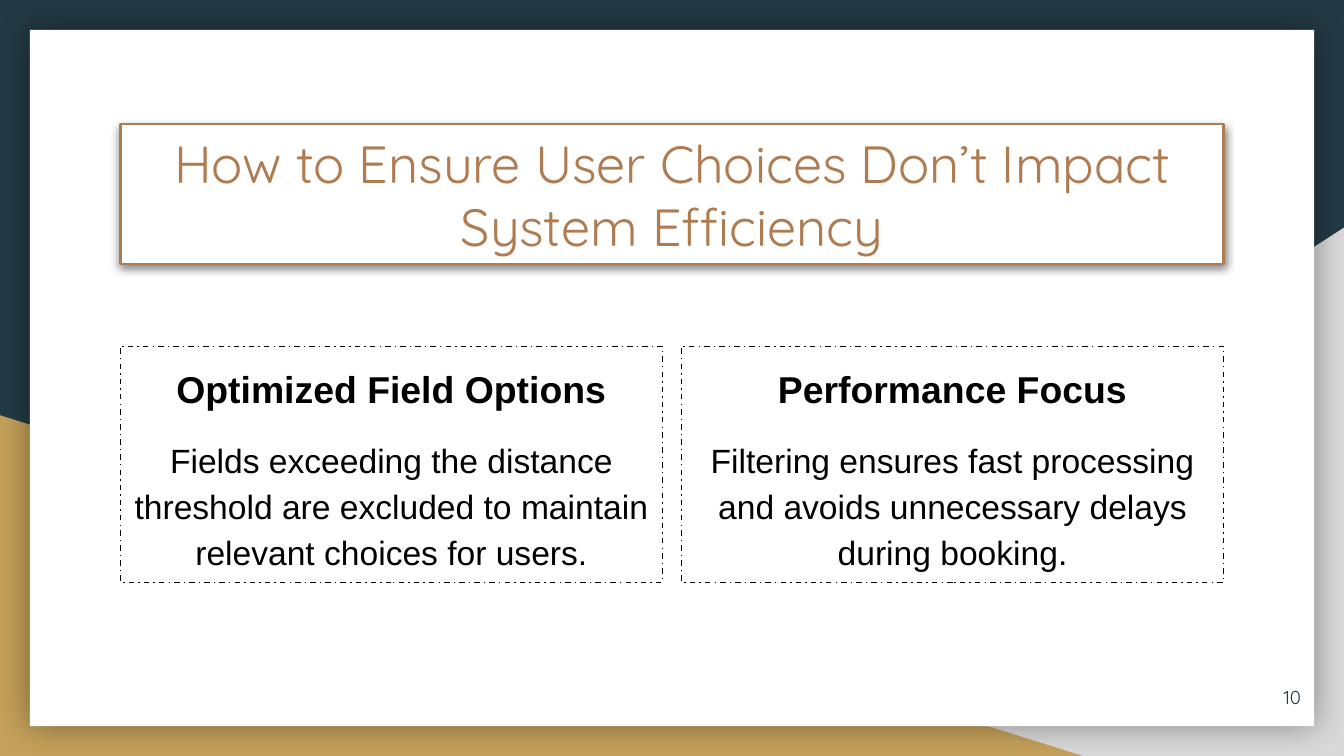
from lxml.etree import SubElement
from pptx import Presentation
from pptx.dml.color import RGBColor
from pptx.enum.dml import MSO_LINE
from pptx.enum.shapes import MSO_SHAPE
from pptx.enum.text import MSO_ANCHOR, PP_ALIGN
from pptx.oxml.ns import qn
from pptx.util import Pt

WIDTH, HEIGHT = 720, 405
NAVY, GOLD, BROWN, GREY = "233A44", "C4A15A", "AF7B51", "D9D9D9"
WHITE, BLACK = "FFFFFF", "000000"
HEADING_FONT, BODY_FONT = "Quicksand", "Arial"


def rgb(value):
    return RGBColor.from_string(value)


def write(tf, text, size, font=BODY_FONT, color=BLACK, bold=False,
          align=PP_ALIGN.CENTER, spacing=None, gap=0):
    """Add a formatted paragraph, using the first one while it is empty."""
    p = tf.paragraphs[0] if not tf.text else tf.add_paragraph()
    p.alignment = align
    p.line_spacing = spacing
    p.space_before = p.space_after = Pt(gap)
    r = p.add_run()
    r.text = text
    r.font.name, r.font.size, r.font.bold = font, Pt(size), bold
    r.font.color.rgb = rgb(color)


class Deck:
    """Holds the shared style and the current slide."""
    inset = 7.2

    def __init__(self):
        self.prs = Presentation()
        self.prs.slide_width, self.prs.slide_height = Pt(WIDTH), Pt(HEIGHT)

    def add_slide(self, background):
        self.s = self.prs.slides.add_slide(self.prs.slide_layouts[6])
        self.s.background.fill.solid()
        self.s.background.fill.fore_color.rgb = rgb(background)

    def shape(self, kind, box, fill=None, line=None, weight=0.75, dash=None):
        sp = self.s.shapes.add_shape(kind, *map(Pt, box))
        sp.shadow.inherit = False
        if fill:
            sp.fill.solid()
            sp.fill.fore_color.rgb = rgb(fill)
        else:
            sp.fill.background()
        if line:
            sp.line.color.rgb = rgb(line)
            sp.line.width = Pt(weight)
            sp.line.dash_style = dash
        else:
            sp.line.fill.background()
        return sp

    def corner(self, box, fill, flip=False):
        sp = self.shape(MSO_SHAPE.RIGHT_TRIANGLE, box, fill)
        if flip:
            sp.element.spPr.find(qn("a:xfrm")).set("flipH", "1")

    def shadow(self, sp, alpha, blur, distance=0, angle=0):
        """Cast a black outer shadow; alpha is in percent, angle in degrees."""
        effects = sp.element.spPr.find(qn("a:effectLst"))
        outer = SubElement(effects, qn("a:outerShdw"), blurRad=str(Pt(blur)),
                           dist=str(Pt(distance)), dir=str(angle * 60000),
                           algn="bl", rotWithShape="0")
        color = SubElement(outer, qn("a:srgbClr"), val=BLACK)
        SubElement(color, qn("a:alpha"), val=str(alpha * 1000))

    def frame(self, sp, anchor):
        tf = sp.text_frame
        tf.word_wrap = True
        tf.vertical_anchor = anchor
        tf.margin_left = tf.margin_right = Pt(self.inset)
        tf.margin_top = tf.margin_bottom = Pt(self.inset)
        return tf

    def title(self, box, text):
        sp = self.shape(MSO_SHAPE.RECTANGLE, box, WHITE, BROWN, 1.5)
        self.shadow(sp, 50, 4.5, 1.5, 90)
        write(self.frame(sp, MSO_ANCHOR.MIDDLE), text, 28, HEADING_FONT, BROWN)

    def number(self, box, text):
        sp = self.s.shapes.add_textbox(*map(Pt, box))
        write(self.frame(sp, MSO_ANCHOR.MIDDLE), text, 10, HEADING_FONT, NAVY,
              align=PP_ALIGN.RIGHT)

    def card(self, box, heading, body):
        sp = self.shape(MSO_SHAPE.RECTANGLE, box, line=BLACK,
                        dash=MSO_LINE.DASH_DOT)
        tf = self.frame(sp, MSO_ANCHOR.TOP)
        write(tf, heading, 20, bold=True, spacing=1.15)
        write(tf, body, 18, spacing=1.15, gap=12)


def main():
    deck = Deck()
    deck.add_slide(NAVY)

    deck.corner((282, 122, WIDTH - 282, HEIGHT - 122), GREY, flip=True)
    deck.corner((0, 222.5, 580, HEIGHT - 222.5), GOLD)
    margin = 16
    panel = deck.shape(MSO_SHAPE.RECTANGLE,
                       (margin, margin, WIDTH - 2 * margin, HEIGHT - 2 * margin),
                       WHITE)
    deck.shadow(panel, 40, 18)

    left, gap = 64.5, 10.2
    content = WIDTH - 2 * left
    deck.title((left, 66.5, content, 75),
               "How to Ensure User Choices Don’t Impact System Efficiency")
    deck.number((661, 358, 43, 31), "10")

    cards = [
        ("Optimized Field Options",
         "Fields exceeding the distance threshold are excluded to maintain "
         "relevant choices for users."),
        ("Performance Focus",
         "Filtering ensures fast processing and avoids unnecessary delays "
         "during booking."),
    ]
    width = (content - gap) / 2
    for i, (heading, body) in enumerate(cards):
        deck.card((left + i * (width + gap), 185.5, width, 126.5), heading, body)

    deck.prs.save("out.pptx")


if __name__ == "__main__":
    main()
